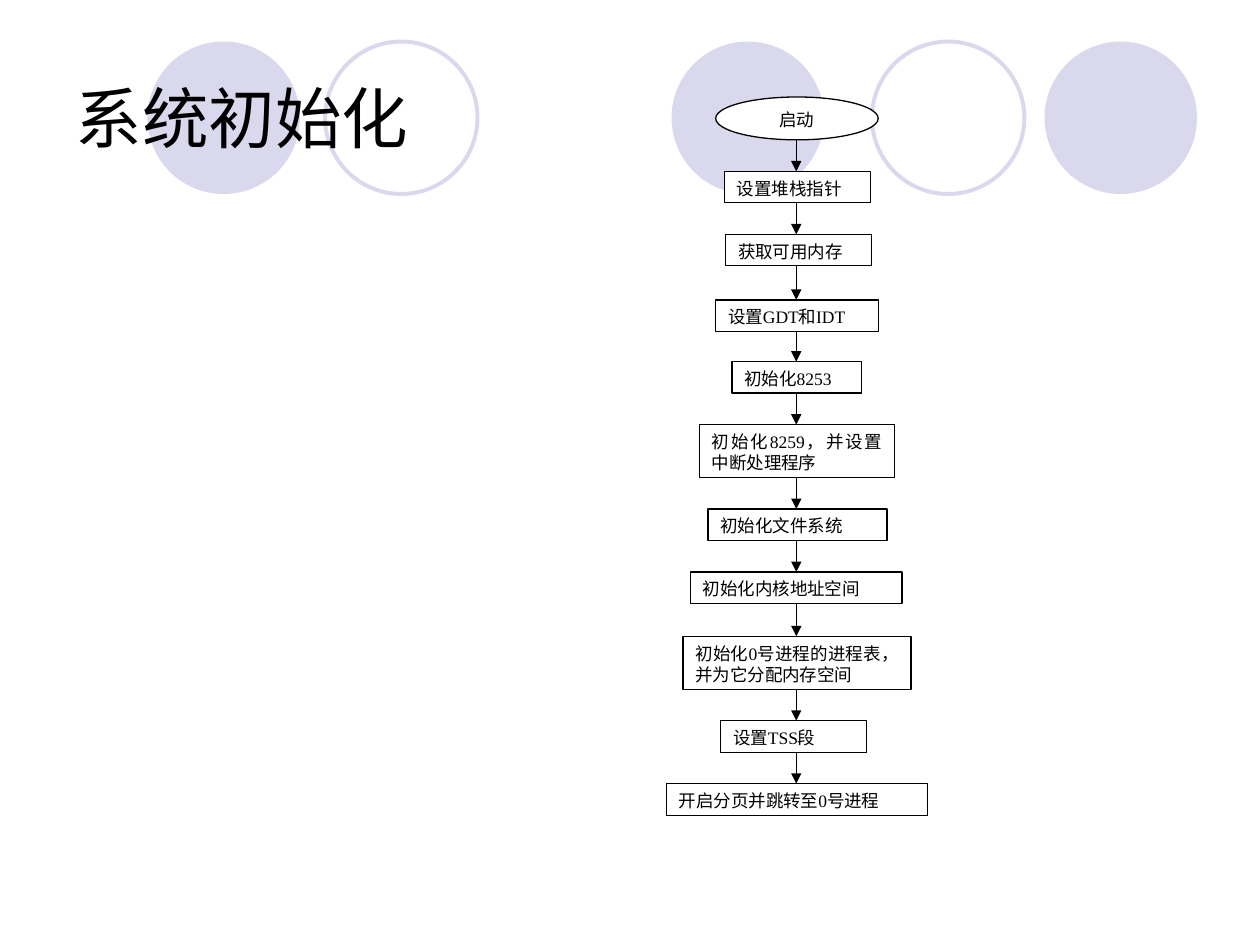
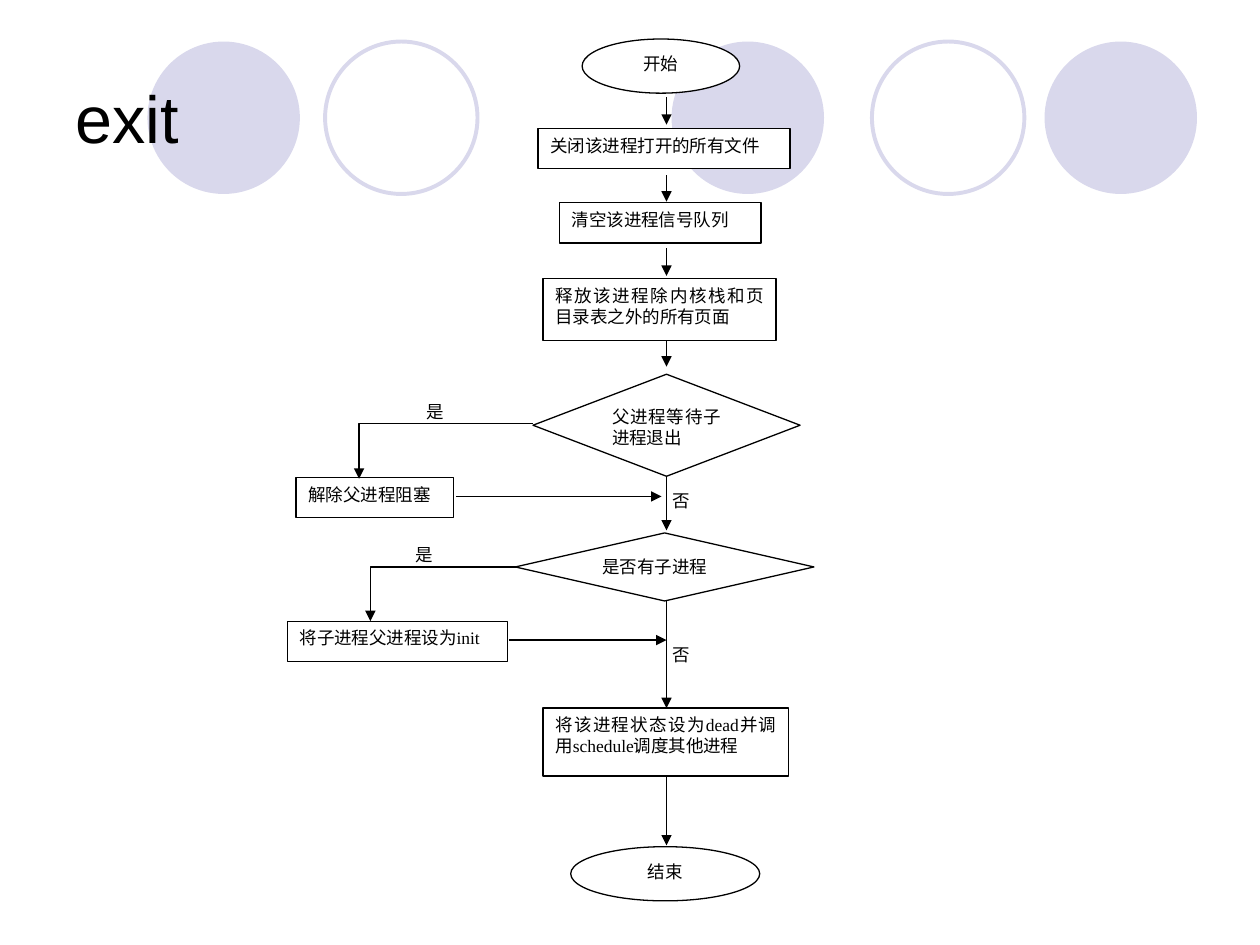
import pptx
import pptx.dml.color
import pptx.enum.shapes
import pptx.enum.text
import pptx.oxml
import pptx.oxml.ns
import pptx.util
from lxml import etree

Inches = pptx.util.Inches
Pt = pptx.util.Pt
Shapes = pptx.enum.shapes.MSO_SHAPE
Align = pptx.enum.text.PP_ALIGN

BLACK = "000000"
WHITE = "FFFFFF"
LAVENDER = "D9D8EC"
TITLE_FONT = "Arial"
FLOW_FONT = "Times New Roman"
TITLE_BOX = (0.5, 0.3, 9, 1.25)
CIRCLE_SIZE = 1.21
CIRCLES = [(1.17, True), (2.58, False), (5.33, True), (6.92, False), (8.29, True)]

STARTUP_STEPS = [
    ("启动", 0.39, 0, 1.29, 0.34, Shapes.OVAL),
    ("设置堆栈指针", 0.46, 0.59, 1.16, 0.25, Shapes.RECTANGLE),
    ("获取可用内存", 0.47, 1.09, 1.16, 0.25, Shapes.RECTANGLE),
    ("设置GDT和IDT", 0.39, 1.61, 1.29, 0.25, Shapes.RECTANGLE),
    ("初始化8253", 0.52, 2.1, 1.03, 0.25, Shapes.RECTANGLE),
    ("初始化8259，并设置中断处理程序", 0.26, 2.6, 1.55, 0.42, Shapes.RECTANGLE),
    ("初始化文件系统", 0.33, 3.27, 1.42, 0.25, Shapes.RECTANGLE),
    ("初始化内核地址空间", 0.19, 3.77, 1.68, 0.25, Shapes.RECTANGLE),
    ("初始化0号进程的进程表，并为它分配内存空间", 0.13, 4.28, 1.81, 0.42, Shapes.RECTANGLE),
    ("设置TSS段", 0.43, 4.95, 1.16, 0.25, Shapes.RECTANGLE),
    ("开启分页并跳转至0号进程", 0, 5.45, 2.07, 0.25, Shapes.RECTANGLE),
]

EXIT_STEPS = [
    ("开始", 2.34, 0, 1.25, 0.43, Shapes.OVAL),
    ("关闭该进程打开的所有文件", 1.99, 0.71, 2, 0.32, Shapes.RECTANGLE),
    ("清空该进程信号队列", 2.16, 1.3, 1.6, 0.32, Shapes.RECTANGLE),
    ("释放该进程除内核栈和页目录表之外的所有页面", 2.03, 1.9, 1.85, 0.49, Shapes.RECTANGLE),
    ("父进程等待子进程退出", 1.95, 2.66, 2.12, 0.81, Shapes.FLOWCHART_DECISION),
    ("是否有子进程", 1.81, 3.92, 2.37, 0.54, Shapes.FLOWCHART_DECISION),
    ("解除父进程阻塞", 0.07, 3.48, 1.25, 0.32, Shapes.RECTANGLE),
    ("将子进程父进程设为init", 0, 4.62, 1.75, 0.32, Shapes.RECTANGLE),
    ("将该进程状态设为dead并调用schedule调度其他进程", 2.03, 5.31, 1.95, 0.54, Shapes.RECTANGLE),
    ("结束", 2.25, 6.41, 1.5, 0.43, Shapes.OVAL),
]
EXIT_DROPS = [
    (0.46, 0.68), (1.08, 1.29), (1.66, 1.88), (2.39, 2.6),
    (3.47, 3.9), (4.45, 5.31), (5.85, 6.4),
]
EXIT_RETURNS = [(1.34, 2.97, 3.63), (1.76, 3.01, 4.77)]
EXIT_BRANCHES = [(1.95, 3.05, 0.57, 3.49), (1.83, 4.19, 0.66, 4.62)]
EXIT_LABELS = [
    ("是", 1.01, 2.82), ("是", 0.92, 3.96),
    ("否", 2.96, 3.53), ("否", 2.96, 4.75),
]


def rgb(value):
    return pptx.dml.color.RGBColor.from_string(value)


def set_line(shape, color, width):
    shape.line.color.rgb = rgb(color)
    shape.line.width = Pt(width)


def format_text(text_frame, font, size, alignment):
    text_frame.word_wrap = True
    for paragraph in text_frame.paragraphs:
        paragraph.alignment = alignment
        for run in paragraph.runs:
            run.font.name = font
            run.font.size = Pt(size)
            run.font.color.rgb = rgb(BLACK)


def add_arrowhead(shape):
    outline = shape.element.spPr.find(pptx.oxml.ns.qn("a:ln"))
    etree.SubElement(outline, pptx.oxml.ns.qn("a:tailEnd"), type="triangle")


def add_circle_band(slide, master):
    for index, (left, filled) in enumerate(CIRCLES):
        circle = slide.shapes.add_shape(
            Shapes.OVAL, Inches(left), Inches(0.33), Inches(CIRCLE_SIZE), Inches(CIRCLE_SIZE)
        )
        circle.shadow.inherit = False
        if filled:
            circle.fill.solid()
            circle.fill.fore_color.rgb = rgb(LAVENDER)
            circle.line.fill.background()
        else:
            circle.fill.background()
            set_line(circle, LAVENDER, 2.25)
        master.shapes.element.insert(2 + index, circle.element)


def add_titled_slide(presentation, title_text):
    slide = presentation.slides.add_slide(presentation.slide_layouts[5])
    title = slide.shapes.title
    title.left, title.top, title.width, title.height = map(Inches, TITLE_BOX)
    title.text_frame.text = title_text
    title.text_frame.auto_size = pptx.enum.text.MSO_AUTO_SIZE.NONE
    title.text_frame.vertical_anchor = pptx.enum.text.MSO_ANCHOR.MIDDLE
    format_text(title.text_frame, TITLE_FONT, 38, Align.LEFT)
    return slide


class Flowchart:
    def __init__(self, slide, left, top):
        self.shapes = slide.shapes
        self.left = left
        self.top = top

    def point(self, x, y):
        return Inches(self.left + x), Inches(self.top + y)

    def add_step(self, text, x, y, width, height, kind):
        step = self.shapes.add_shape(kind, *self.point(x, y), Inches(width), Inches(height))
        step.shadow.inherit = False
        step.fill.solid()
        step.fill.fore_color.rgb = rgb(WHITE)
        set_line(step, BLACK, 0.75)
        step.text_frame.text = text
        step.text_frame.vertical_anchor = pptx.enum.text.MSO_ANCHOR.TOP
        alignment = Align.CENTER if kind == Shapes.OVAL else Align.JUSTIFY
        format_text(step.text_frame, FLOW_FONT, 10, alignment)

    def add_label(self, text, x, y):
        label = self.shapes.add_textbox(*self.point(x, y), Inches(0.37), Inches(0.32))
        label.text_frame.text = text
        format_text(label.text_frame, FLOW_FONT, 10, Align.JUSTIFY)

    def add_arrow(self, start, end):
        arrow = self.shapes.add_connector(
            pptx.enum.shapes.MSO_CONNECTOR.STRAIGHT, *self.point(*start), *self.point(*end)
        )
        set_line(arrow, BLACK, 0.75)
        add_arrowhead(arrow)
        etree.SubElement(arrow.element.spPr, pptx.oxml.ns.qn("a:effectLst"))

    def add_branch(self, start_x, start_y, end_x, end_y):
        builder = self.shapes.build_freeform(*self.point(start_x, start_y))
        corners = [self.point(end_x, start_y), self.point(end_x, end_y)]
        builder.add_line_segments(corners, close=False)
        branch = builder.convert_to_shape()
        branch.shadow.inherit = False
        branch.fill.background()
        set_line(branch, BLACK, 0.75)
        add_arrowhead(branch)


def add_startup_flow(slide, left, top):
    flow = Flowchart(slide, left, top)
    axis = 1.03
    for step in STARTUP_STEPS:
        flow.add_step(*step)
    for upper, lower in zip(STARTUP_STEPS, STARTUP_STEPS[1:]):
        flow.add_arrow((axis, upper[2] + upper[4]), (axis, lower[2]))


def add_exit_flow(slide, left, top):
    flow = Flowchart(slide, left, top)
    axis = 3.01
    for step in EXIT_STEPS:
        flow.add_step(*step)
    for label in EXIT_LABELS:
        flow.add_label(*label)
    for start_y, end_y in EXIT_DROPS:
        flow.add_arrow((axis, start_y), (axis, end_y))
    for start_x, end_x, y in EXIT_RETURNS:
        flow.add_arrow((start_x, y), (end_x, y))
    for branch in EXIT_BRANCHES:
        flow.add_branch(*branch)


def main():
    presentation = pptx.Presentation()
    presentation.slide_width = Inches(10)
    presentation.slide_height = Inches(7.5)

    startup_slide = add_titled_slide(presentation, "系统初始化")
    add_circle_band(startup_slide, presentation.slide_master)
    add_startup_flow(startup_slide, 5.29, 0.77)

    exit_slide = add_titled_slide(presentation, "exit")
    add_exit_flow(exit_slide, 2.28, 0.31)

    presentation.save("out.pptx")


if __name__ == "__main__":
    main()
